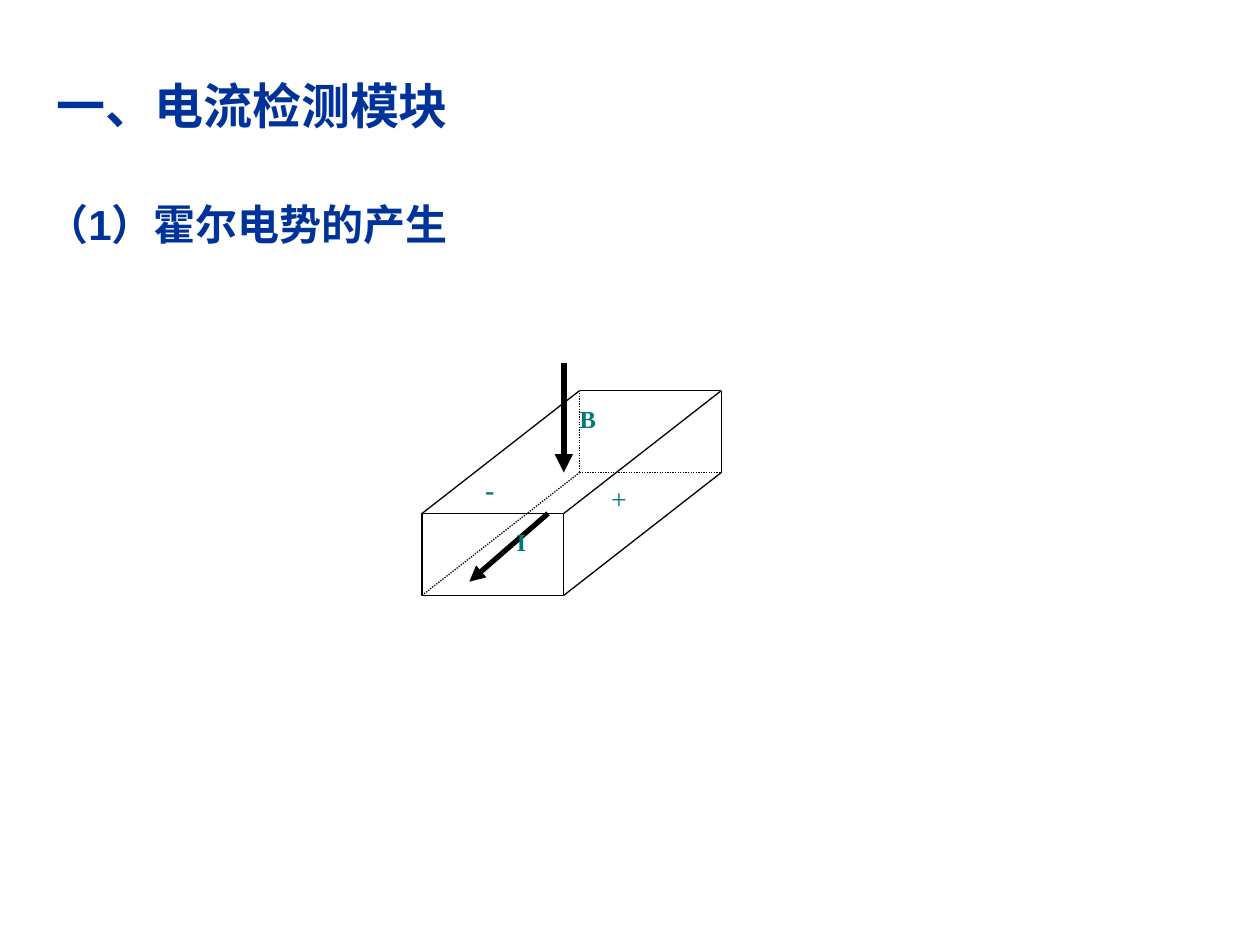
from typing import NamedTuple

from lxml import etree
from pptx import Presentation, util as u
from pptx.dml.color import RGBColor
from pptx.enum import dml, shapes, text
from pptx.oxml.ns import qn

NAVY = RGBColor(0x00, 0x33, 0x99)
TEAL = RGBColor(0x00, 0x7A, 0x77)
BLACK = RGBColor(0x00, 0x00, 0x00)
WHITE = RGBColor(0xFF, 0xFF, 0xFF)

WIDTH, HEIGHT = 10, 7.5

# Drawing grid: the origin is level with the back top edge of the block
LEFT, TOP = 3.35, 3.1
COLUMN, ROW = 0.125, 0.65 / 6


class Point(NamedTuple):
    column: float
    row: float


class Edge(NamedTuple):
    start: Point
    end: Point
    width: float = 0.75
    hidden: bool = False
    arrow: bool = False


class Heading(NamedTuple):
    words: str
    left: float  # share of the slide width
    top: float  # share of the slide height
    size: int


class Label(NamedTuple):
    words: str
    at: Point
    columns: int
    size: int
    bold: bool = True


# Block corners: the back face is the front face moved by DEPTH
FACE = Point(9, 6)
DEPTH = Point(10, -9)
FRONT_TOP_LEFT, FRONT_TOP_RIGHT = Point(0, 9), Point(FACE.column, 9)
FRONT_BOTTOM_LEFT, FRONT_BOTTOM_RIGHT = Point(0, 15), Point(FACE.column, 15)
BACK_TOP_LEFT, BACK_TOP_RIGHT, BACK_BOTTOM_LEFT, BACK_BOTTOM_RIGHT = (
    Point(corner.column + DEPTH.column, corner.row + DEPTH.row)
    for corner in (FRONT_TOP_LEFT, FRONT_TOP_RIGHT, FRONT_BOTTOM_LEFT, FRONT_BOTTOM_RIGHT)
)

EDGES = [
    Edge(FRONT_TOP_LEFT, BACK_TOP_LEFT),
    Edge(FRONT_TOP_RIGHT, BACK_TOP_RIGHT),
    Edge(BACK_TOP_LEFT, BACK_TOP_RIGHT),
    Edge(FRONT_BOTTOM_RIGHT, BACK_BOTTOM_RIGHT),
    Edge(BACK_TOP_RIGHT, BACK_BOTTOM_RIGHT),
    Edge(BACK_BOTTOM_LEFT, BACK_BOTTOM_RIGHT, hidden=True),
    Edge(BACK_TOP_LEFT, BACK_BOTTOM_LEFT, hidden=True),
    Edge(FRONT_BOTTOM_LEFT, BACK_BOTTOM_LEFT, hidden=True),
    Edge(Point(8, 9), Point(3, 14), width=3, arrow=True),  # current
    Edge(Point(9, -2), Point(9, 6), width=3.5, arrow=True),  # magnetic field
]

HEADINGS = [
    Heading("一、电流检测模块", 0.035, 0.028, 28),
    Heading("（1）霍尔电势的产生", 0.027, 0.153, 24),
]

LABELS = [
    Label("B", Point(10, 1), 1, 14),
    Label("I", Point(6, 10), 1, 14),
    Label("+", Point(12, 6.65), 1, 16, bold=False),
    Label("-", Point(4, 6), 2, 16),
]


def place(point: Point) -> tuple:
    return u.Inches(LEFT + point.column * COLUMN), u.Inches(TOP + point.row * ROW)


def add_text(slide, box: tuple, words: str, font_name: str, size: int,
             color: RGBColor, bold: bool):
    frame = slide.shapes.add_textbox(*box).text_frame
    frame.word_wrap = True
    frame.text = words
    font = frame.paragraphs[0].runs[0].font
    font.name, font.size, font.bold = font_name, u.Pt(size), bold
    font.color.rgb = color
    return frame


def add_heading(slide, heading: Heading) -> None:
    box = (u.Inches(heading.left * WIDTH), u.Inches(heading.top * HEIGHT),
           u.Inches(0.934 * WIDTH), u.Inches(HEIGHT / 6))
    frame = add_text(slide, box, heading.words, "Arial", heading.size, NAVY, True)
    frame.vertical_anchor = text.MSO_ANCHOR.MIDDLE


def add_label(slide, label: Label) -> None:
    box = (*place(label.at), u.Inches(label.columns * COLUMN), u.Inches(3 * ROW))
    frame = add_text(slide, box, label.words, "Times New Roman", label.size, TEAL, label.bold)
    frame.margin_left = frame.margin_right = frame.margin_top = frame.margin_bottom = 0
    frame.paragraphs[0].alignment = text.PP_ALIGN.JUSTIFY


def add_front_face(slide) -> None:
    shape = slide.shapes.add_shape(
        shapes.MSO_SHAPE.RECTANGLE, *place(FRONT_TOP_LEFT),
        u.Inches(FACE.column * COLUMN), u.Inches(FACE.row * ROW))
    shape.shadow.inherit = False
    shape.fill.solid()
    shape.fill.fore_color.rgb = WHITE
    shape.line.color.rgb = BLACK
    shape.line.width = u.Pt(0.75)


def add_edge(slide, edge: Edge) -> None:
    connector = slide.shapes.add_connector(
        shapes.MSO_CONNECTOR.STRAIGHT, *place(edge.start), *place(edge.end))
    line = connector.line
    line.color.rgb = BLACK
    line.width = u.Pt(edge.width)
    if edge.hidden:
        line.dash_style = dml.MSO_LINE.ROUND_DOT
    if edge.arrow:
        etree.SubElement(line._get_or_add_ln(), qn("a:tailEnd"), type="triangle")
    etree.SubElement(connector._element.spPr, qn("a:effectLst"))


def main() -> None:
    presentation = Presentation()
    presentation.slide_width = u.Inches(WIDTH)
    presentation.slide_height = u.Inches(HEIGHT)
    slide = presentation.slides.add_slide(presentation.slide_layouts[6])

    for heading in HEADINGS:
        add_heading(slide, heading)

    # Hall element with its current and magnetic field
    add_front_face(slide)
    for edge in EDGES:
        add_edge(slide, edge)
    for label in LABELS:
        add_label(slide, label)

    presentation.save("out.pptx")


if __name__ == "__main__":
    main()
